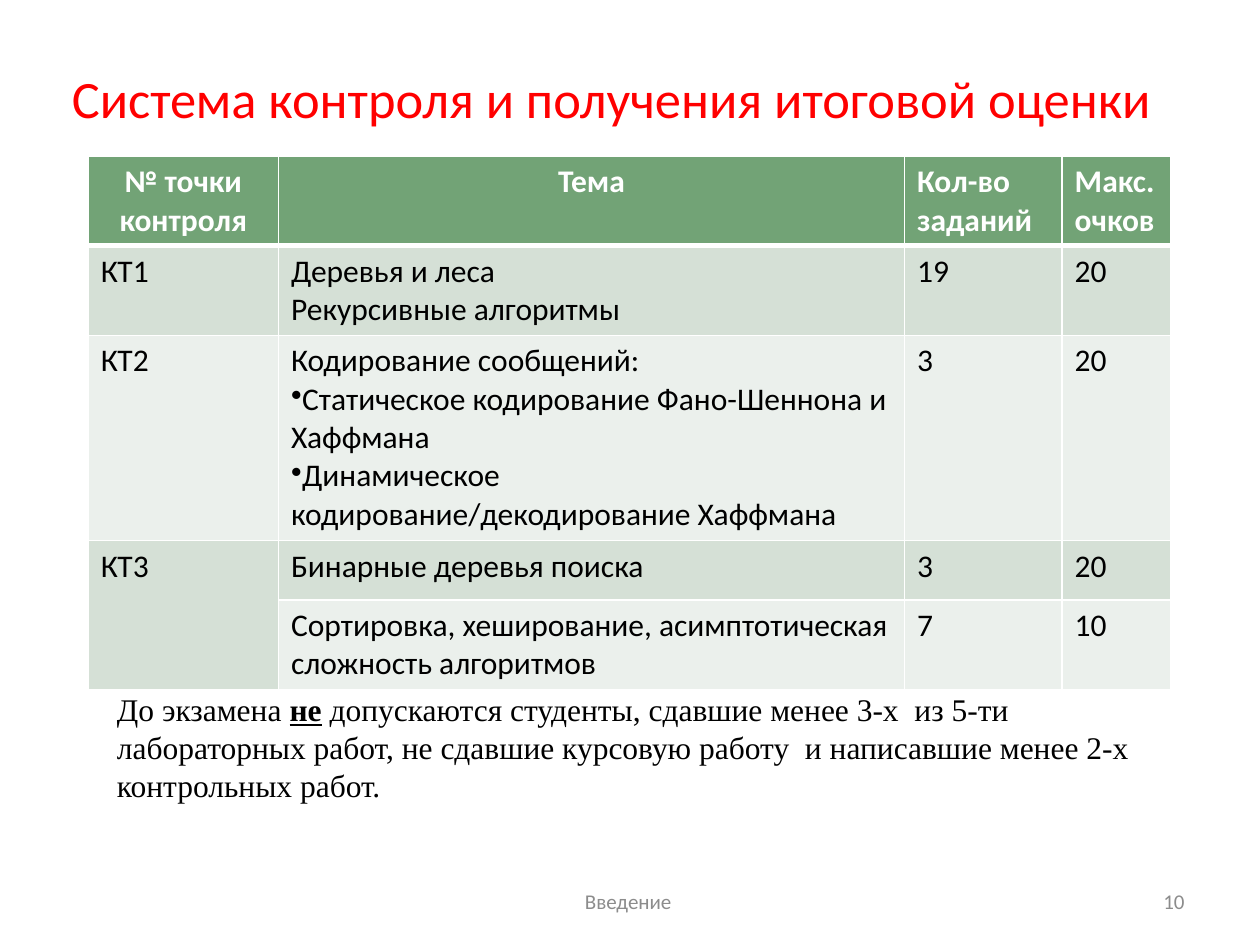
from lxml.etree import SubElement
from pptx import Presentation
from pptx.dml.color import RGBColor
from pptx.enum.text import MSO_ANCHOR as ANCHOR, MSO_AUTO_SIZE as AUTOSIZE, PP_ALIGN as ALIGN
from pptx.oxml import parse_xml
from pptx.oxml.ns import nsdecls, qn
from pptx.util import Inches, Pt

WIDTH, HEIGHT = 10, 7.5
TITLE = "Система контроля и получения итоговой оценки"
BULLET = "•"
HEADER = ["№ точки контроля", "Тема", "Кол-во заданий", "Макс. очков"]
ROWS = [
    ["КТ1", "Деревья и леса\nРекурсивные алгоритмы", "19", "20"],
    ["КТ2", "Кодирование сообщений:\n"
            "•Статическое кодирование Фано-Шеннона и Хаффмана\n"
            "•Динамическое кодирование/декодирование Хаффмана", "3", "20"],
    ["КТ3", "Бинарные деревья поиска", "3", "20"],
    ["", "Сортировка, хеширование, асимптотическая сложность алгоритмов", "7", "10"],
]
COL_WIDTHS = [1.51, 4.97, 1.25, 0.86]
ROW_HEIGHTS = [0.71, 0.71, 1.63, 0.47, 0.71]
TABLE_AT = (0.7, 1.24)
HEADER_FILL, BAND_FILLS = "72A376", ["D5E0D6", "EBF0EC"]

TITLE_FONT = dict(name="Calibri", size=Pt(30), color="FF0000")
HEAD_FONT = dict(name="Calibri", size=Pt(18), color="FFFFFF", bold=True)
CELL_FONT = dict(name="Calibri", size=Pt(18), color="000000", bold=False)
NOTE_FONT = dict(name="Times New Roman", size=Pt(18), color="000000")
FOOT_FONT = dict(name="Calibri", size=Pt(12), color="8C8C8C")

NOTE = [
    ("До экзамена ", {}),
    ("не", dict(bold=True, underline=True)),
    (" допускаются студенты, сдавшие менее 3-х  из 5-ти лабораторных работ, "
     "не сдавшие курсовую работу  и написавшие менее 2-х контрольных работ.", {}),
]
# box, alignment, anchor, font, runs
TEXTS = [
    ((7.17, 6.95, 2.33, 0.4), ALIGN.RIGHT, ANCHOR.MIDDLE, FOOT_FONT, [("10", {})]),
    ((3.42, 6.95, 3.17, 0.4), ALIGN.CENTER, ANCHOR.MIDDLE, FOOT_FONT, [("Введение ", {})]),
    ((0.83, 5.43, 8.52, 1), ALIGN.LEFT, ANCHOR.TOP, NOTE_FONT, NOTE),
]


def rgb(color):
    return RGBColor.from_string(color)


def add_run(p, text, font):
    r = p.add_run()
    r.text = text
    for key, value in font.items():
        if key == "color":
            r.font.color.rgb = rgb(value)
        else:
            setattr(r.font, key, value)


def set_borders(cell, widths):
    """Put white lines, widths in points, on the left, right, top and bottom."""
    tc_pr = cell._tc.get_or_add_tcPr()
    for i, (side, width) in enumerate(zip("LRTB", widths)):
        tc_pr.insert(i, parse_xml(
            f'<a:ln{side} {nsdecls("a")} w="{Pt(width)}"><a:solidFill>'
            f'<a:srgbClr val="FFFFFF"/></a:solidFill></a:ln{side}>'))


def fill_cell(cell, text, font, fill, align):
    cell.fill.solid()
    cell.fill.fore_color.rgb = rgb(fill)
    tf = cell.text_frame
    for i, line in enumerate(text.split("\n") if text else []):
        p = tf.add_paragraph() if i else tf.paragraphs[0]
        p.alignment = align
        if line.startswith(BULLET):
            SubElement(p._p.get_or_add_pPr(), qn("a:buChar"), char=BULLET)
        add_run(p, line.lstrip(BULLET), font)


def add_title(s):
    sp = s.shapes.title
    sp.left, sp.top, sp.width, sp.height = map(Inches, (0.47, 0.47, 9, 0.7))
    tf = sp.text_frame
    tf.auto_size, tf.vertical_anchor = AUTOSIZE.NONE, ANCHOR.TOP
    p = tf.paragraphs[0]
    p.alignment = ALIGN.LEFT
    add_run(p, TITLE, TITLE_FONT)


def add_control_table(s):
    size = sum(COL_WIDTHS), sum(ROW_HEIGHTS)
    table = s.shapes.add_table(len(ROW_HEIGHTS), len(COL_WIDTHS),
                               *map(Inches, TABLE_AT + size)).table
    for col, width in zip(table.columns, COL_WIDTHS):
        col.width = Inches(width)
    for row, height in zip(table.rows, ROW_HEIGHTS):
        row.height = Inches(height)
    for i, texts in enumerate([HEADER] + ROWS):
        for j, text in enumerate(texts):
            cell = table.cell(i, j)
            if i == 0:
                align = ALIGN.CENTER if j < 2 else ALIGN.LEFT
                fill_cell(cell, text, HEAD_FONT, HEADER_FILL, align)
            else:
                band = BAND_FILLS[(i - 1) % 2] if text else BAND_FILLS[0]
                fill_cell(cell, text, CELL_FONT, band, ALIGN.LEFT)
            set_borders(cell, (1, 1, 3 if i == 1 else 1, 3 if i == 0 else 1))
    table.cell(3, 0).merge(table.cell(4, 0))


def add_text(s, box, align, anchor, font, runs):
    tf = s.shapes.add_textbox(*map(Inches, box)).text_frame
    tf.word_wrap, tf.vertical_anchor = True, anchor
    p = tf.paragraphs[0]
    p.alignment = align
    for text, extra in runs:
        add_run(p, text, font | extra)


def main():
    prs = Presentation()
    prs.slide_width, prs.slide_height = Inches(WIDTH), Inches(HEIGHT)
    s = prs.slides.add_slide(prs.slide_layouts[5])
    add_title(s)
    add_control_table(s)
    for item in TEXTS:
        add_text(s, *item)
    prs.save("out.pptx")


if __name__ == "__main__":
    main()
